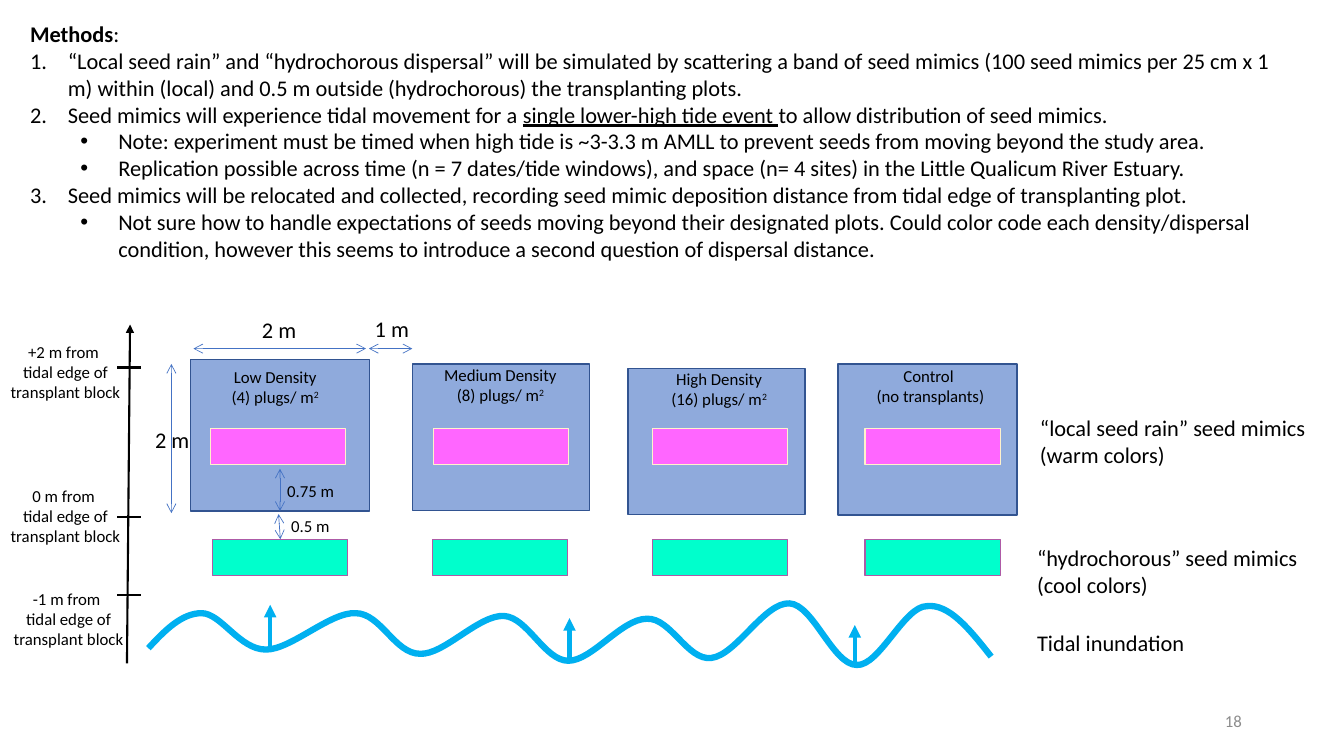
from dataclasses import dataclass, field
from typing import Optional

from lxml.etree import SubElement
from pptx import Presentation
from pptx.dml.color import RGBColor
from pptx.enum.shapes import MSO_CONNECTOR as Connector, MSO_SHAPE as Preset
from pptx.enum.text import MSO_ANCHOR as Anchor, MSO_AUTO_SIZE as AutoSize, PP_ALIGN as Align
from pptx.oxml.ns import qn
from pptx.util import Pt

BLACK, GREY = "000000", "8C8C8C"
DIMENSION, TIDE = "4472C4", "00B0F0"
BOTTOM, TOP = 2, 0


@dataclass
class Run:
    text: str
    font: dict = field(default_factory=dict)
    superscript: bool = False


@dataclass
class Line:
    runs: list[Run]
    bullet: Optional[str] = None


@dataclass
class Label:
    lines: list[Line]
    box: tuple[float, float, float, float]
    size: float = 16
    align: Align = Align.LEFT
    wrap: bool = False
    color: str = BLACK
    anchor: Anchor = Anchor.TOP
    autosize: AutoSize = AutoSize.SHAPE_TO_FIT_TEXT


@dataclass
class Plot:
    box: tuple[float, float, float, float]
    warm_left: float
    cool_left: float
    label_box: tuple[float, float, float, float]
    label: list[Line]


@dataclass
class Arrow:
    start: tuple[float, float]
    end: tuple[float, float]
    color: str = DIMENSION
    width: float = 0.5
    head: Optional[str] = "arrow"
    tail: Optional[str] = "arrow"


def rgb(hex_color: str) -> RGBColor:
    return RGBColor.from_string(hex_color)


def plain(*texts: str) -> list[Line]:
    """One unbulleted line per text."""
    return [Line([Run(text)]) for text in texts]


def density(name: str, plugs: int) -> list[Line]:
    count = Line([Run(f"({plugs}) plugs/ m"), Run("2", superscript=True)])
    return plain(f"{name} Density") + [count]


def number(*runs: Run) -> Line:
    return Line(list(runs), "number")


def dot(text: str) -> Line:
    return Line([Run(text)], "dot")


def add_bullet(paragraph, kind: str) -> None:
    nested = kind == "dot"
    paragraph.level = int(nested)
    props = paragraph._p.get_or_add_pPr()
    props.set("marL", str(Pt(63 if nested else 27)))
    props.set("indent", str(-Pt(27)))
    if nested:
        SubElement(props, qn("a:buFont"), typeface="Arial")
        SubElement(props, qn("a:buChar"), char="•")
    else:
        SubElement(props, qn("a:buFont"), typeface="+mj-lt")
        SubElement(props, qn("a:buAutoNum"), type="arabicPeriod")


def add_label(shapes, label: Label) -> None:
    frame = shapes.add_textbox(*map(Pt, label.box)).text_frame
    frame_format = {"word_wrap": label.wrap, "auto_size": label.autosize,
                    "vertical_anchor": label.anchor}
    for name, value in frame_format.items():
        setattr(frame, name, value)
    for index, line in enumerate(label.lines):
        paragraph = frame.add_paragraph() if index else frame.paragraphs[0]
        paragraph.alignment = label.align
        if line.bullet:
            add_bullet(paragraph, line.bullet)
        for part in line.runs:
            run = paragraph.add_run()
            run.text = part.text
            for name, value in {"name": "Calibri", "size": Pt(label.size), **part.font}.items():
                setattr(run.font, name, value)
            run.font.color.rgb = rgb(label.color)
            if part.superscript:
                run.font._element.set("baseline", "30000")


def add_block(shapes, box: tuple, fill: str, outline: str):
    block = shapes.add_shape(Preset.RECTANGLE, *map(Pt, box))
    block.shadow.inherit = False
    block.fill.solid()
    block.fill.fore_color.rgb = rgb(fill)
    block.line.color.rgb = rgb(outline)
    block.line.width = Pt(1)
    return block


def add_arrow(shapes, arrow: Arrow):
    connector = shapes.add_connector(Connector.STRAIGHT, *map(Pt, arrow.start + arrow.end))
    connector.line.color.rgb = rgb(arrow.color)
    connector.line.width = Pt(arrow.width)
    for tag, kind in (("a:headEnd", arrow.head), ("a:tailEnd", arrow.tail)):
        if kind:
            SubElement(connector.get_or_add_ln(), qn(tag), type=kind)
    SubElement(connector._element.spPr, qn("a:effectLst"))
    return connector


def add_wave(shapes, points: list[tuple]) -> None:
    """Draw cubic curves: a start, then two controls and an end for each."""
    start, *rest = [(Pt(x), Pt(y)) for x, y in points]
    builder = shapes.build_freeform(*start)
    builder.add_line_segments(rest, close=False)
    wave = builder.convert_to_shape()
    outline = wave._element.find(".//" + qn("a:path"))
    segments = outline.findall(qn("a:lnTo"))
    for first in range(0, len(segments), 3):
        curve = SubElement(outline, qn("a:cubicBezTo"))
        for segment in segments[first:first + 3]:
            curve.append(segment[0])
            outline.remove(segment)
    wave.shadow.inherit = False
    wave.fill.background()
    wave.line.color.rgb = rgb(TIDE)
    wave.line.width = Pt(4.5)


WAVE = [
    (106, 463), (118, 450), (130, 438), (144, 438), (158, 438), (171, 464), (190, 464),
    (208, 464), (236, 437), (254, 438), (272, 438), (282, 467), (300, 467),
    (317, 468), (342, 439), (360, 440), (377, 441), (389, 472), (406, 472),
    (423, 472), (444, 442), (462, 442), (479, 441), (491, 472), (508, 470),
    (526, 468), (546, 430), (564, 431), (581, 432), (595, 475), (612, 475),
    (628, 476), (646, 433), (662, 433), (678, 431), (693, 450), (708, 469),
]
METHODS = [
    Line([Run("Methods", {"bold": True}), Run(":")]),
    number(Run("“Local seed rain” and “hydrochorous dispersal” will be simulated by scattering a band of seed mimics (100 seed mimics per 25 cm x 1 m) within (local) and 0.5 m outside (hydrochorous) the transplanting plots.")),
    number(Run("Seed mimics will experience tidal movement for a "),
           Run("single lower-high tide event ", {"underline": True}),
           Run("to allow distribution of seed mimics.")),
    dot("Note: experiment must be timed when high tide is ~3-3.3 m AMLL to prevent seeds from moving beyond the study area."),
    dot("Replication possible across time (n = 7 dates/tide windows), and space (n= 4 sites) in the Little Qualicum River Estuary."),
    number(Run("Seed mimics will be relocated and collected, recording seed mimic deposition distance from tidal edge of transplanting plot.")),
    dot("Not sure how to handle expectations of seeds moving beyond their designated plots. Could color code each density/dispersal condition, however this seems to introduce a second question of dispersal distance."),
]
PLOTS = [
    Plot((136, 257, 128, 108), 150.5, 152, (157.7, 258.5, 77.8, 36), density("Low", 4)),
    Plot((294.5, 260, 126.5, 104.5), 309.5, 309, (309.6, 257, 95.8, 36), density("Medium", 8)),
    Plot((448.5, 263, 126.5, 104.5), 466, 466, (471.6, 260, 84.2, 36), density("High", 16)),
    Plot((598.5, 260, 128, 108), 618, 618, (618.5, 257.8, 92.2, 36),
         plain("Control ", "(no transplants)")),
]
LABELS = [
    Label(METHODS, (14.4, 10.8, 902, 181.4), wrap=True),
    Label(plain("Tidal inundation"), (733.7, 445.7, 121, 26.6)),
    Label(plain("“hydrochorous” seed mimics", "(cool colors)"), (733.7, 385.2, 203, 46)),
    Label(plain("“local seed rain” seed mimics", "(warm colors)"), (735.8, 292.3, 206.6, 46)),
    Label(plain("2 m"), (180, 222.5, 39.6, 26.6)),
    Label(plain("2 m"), (103.7, 301, 39.6, 26.6)),
    Label(plain("1 m"), (260.6, 221.8, 39.6, 26.6)),
    Label(plain("0.75 m"), (198, 339.8, 49, 21.6), 12),
    Label(plain("0.5 m"), (200.9, 365, 42.5, 21.6), 12),
    Label(plain("18"), (678.2, 500.4, 216, 28.8), 12, Align.RIGHT, True, GREY,
          Anchor.MIDDLE, AutoSize.NONE),
]
ELEVATIONS = [("+2", 0, 240.5, 262.5), ("0", 0, 343.4, 369.4), ("-1", 2.2, 416.9, 425.2)]
TIDE_ARROWS = [(406.8, 471), (610.6, 476), (193, 461.5)]
DIMENSIONS = [((138.2, 249), (261.4, 249)), ((122.4, 366.5), (122.4, 260)),
              ((263.5, 249), (294.5, 249))]


def main() -> None:
    deck = Presentation()
    deck.slide_width, deck.slide_height = Pt(960), Pt(540)
    shapes = deck.slides.add_slide(deck.slide_layouts[6]).shapes

    add_wave(shapes, WAVE)
    for x, y in TIDE_ARROWS:
        add_arrow(shapes, Arrow((x, y), (x, y - 29.5), TIDE, 3, None, "triangle"))

    blocks, cool_bands = [], []
    for plot in PLOTS:
        blocks.append(add_block(shapes, plot.box, "8FAADC", "325491"))
        add_block(shapes, (plot.warm_left, 306, 96.5, 26), "FF66FF", "FFF2CC")
        cool_bands.append(
            add_block(shapes, (plot.cool_left, 385.2, 96.5, 26), "00FFCC", "AE5AA6"))
        add_label(shapes, Label(plot.label, plot.label_box, 12, Align.CENTER))

    for start, end in DIMENSIONS:
        add_arrow(shapes, Arrow(start, end))
    inside = add_arrow(shapes, Arrow((200, 334.8), (200, 365)))
    inside.end_connect(blocks[0], BOTTOM)
    outside = add_arrow(shapes, Arrow((199, 367.2), (200, 385.2)))
    outside.end_connect(cool_bands[0], TOP)

    add_arrow(shapes, Arrow((90.7, 473.8), (92.9, 231.8), BLACK, 1.5, None, "triangle"))
    for height, left, top, tick in ELEVATIONS:
        add_arrow(shapes, Arrow((100.4, tick), (83.8, tick), BLACK, 1.5, None, None))
        lines = plain(f"{height} m from ", "tidal edge of", "transplant block")
        add_label(shapes, Label(lines, (left, top, 93.6, 51), 12, Align.CENTER))
    for label in LABELS:
        add_label(shapes, label)

    deck.save("out.pptx")


if __name__ == "__main__":
    main()
